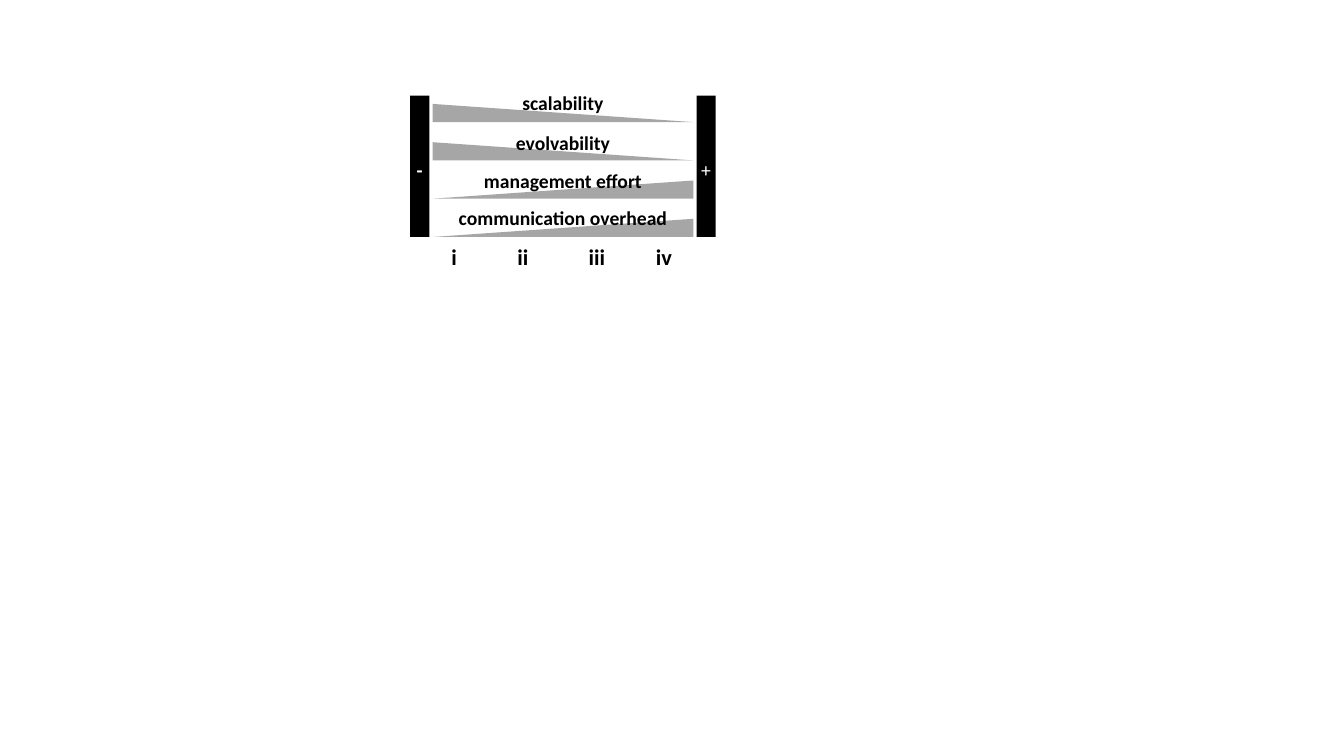
import pptx
import pptx.dml.color
import pptx.enum.shapes
import pptx.enum.text
import pptx.oxml
import pptx.oxml.ns
import pptx.util

Pt = pptx.util.Pt
SHAPES = pptx.enum.shapes.MSO_SHAPE
ALIGN = pptx.enum.text.PP_ALIGN

WEDGE_LEFT, WEDGE_WIDTH, WEDGE_HEIGHT = 309, 186.2, 13
FIRST_WEDGE_TOP, WEDGE_PITCH = 74.2, 27.36
BAR_TOP, BAR_WIDTH, BAR_HEIGHT = 68.4, 13.7, 100.8

# Criterion, top of its label, whether the wedge rises to the right
CRITERIA = [
    ("scalability", 61.4, False),
    ("evolvability", 90, False),
    ("management effort", 117.3, True),
    ("communication overhead", 143.5, True),
]
# Sign, left of its bar, bold
SIGNS = [("+", 497.5, False), ("-", 293, True)]
STAGES = ["i", "ii", "iii", "iv"]
STAGE_STOPS = [47, 98, 146]


def color(value):
    """Return the colour for a hex string."""
    return pptx.dml.color.RGBColor.from_string(value)


def add_solid(page, kind, left, top, width, height, fill):
    """Add a filled shape without line or shadow."""
    shape = page.shapes.add_shape(kind, Pt(left), Pt(top), Pt(width), Pt(height))
    shape.shadow.inherit = False
    shape.fill.solid()
    shape.fill.fore_color.rgb = color(fill)
    shape.line.fill.background()
    return shape


def add_wedge(page, top, rising):
    """Add a grey wedge, mirrored when it rises to the right."""
    wedge = add_solid(page, SHAPES.RIGHT_TRIANGLE, WEDGE_LEFT, top,
                      WEDGE_WIDTH, WEDGE_HEIGHT, "A6A6A6")
    if rising:
        wedge._element.spPr.get_or_add_xfrm().set("flipH", "1")


def add_label(page, text, left, top, width, height, size=14, fill="000000",
              bold=True, align=ALIGN.CENTER, wrap=True):
    """Add a one-line text box and return its paragraph."""
    box = page.shapes.add_textbox(Pt(left), Pt(top), Pt(width), Pt(height))
    box.text_frame.word_wrap = wrap
    box.text_frame.text = text
    para = box.text_frame.paragraphs[0]
    para.alignment = align
    for span in para.runs:
        span.font.name = "Calibri"
        span.font.size = Pt(size)
        span.font.bold = bold
        span.font.color.rgb = color(fill)
    return para


def set_tab_stops(para, stops):
    """Give a paragraph left tab stops, in points."""
    properties = para._p.get_or_add_pPr()
    tab_list = pptx.oxml.parse_xml(
        "<a:tabLst %s/>" % pptx.oxml.ns.nsdecls("a"))
    for stop in stops:
        tab = tab_list.makeelement(pptx.oxml.ns.qn("a:tab"),
                                   {"pos": str(Pt(stop)), "algn": "l"})
        tab_list.append(tab)
    properties.append(tab_list)


def main():
    """Build the slide and save it."""
    deck = pptx.Presentation()
    deck.slide_width, deck.slide_height = Pt(960), Pt(540)
    page = deck.slides.add_slide(deck.slide_layouts[6])

    for row, (name, label_top, rising) in enumerate(CRITERIA):
        add_wedge(page, FIRST_WEDGE_TOP + row * WEDGE_PITCH, rising)
        add_label(page, name, WEDGE_LEFT, label_top, WEDGE_WIDTH, 24.2)

    stages = add_label(page, "\t".join(STAGES), 315.4, 170, 178, 26.6,
                       size=16, align=ALIGN.LEFT)
    set_tab_stops(stages, STAGE_STOPS)

    for sign, left, bold in SIGNS:
        add_solid(page, SHAPES.RECTANGLE, left, BAR_TOP, BAR_WIDTH,
                  BAR_HEIGHT, "000000")
        add_label(page, sign, left - 4, 109.5, BAR_WIDTH + 8, 24.2,
                  fill="FFFFFF", bold=bold, wrap=False)

    deck.save("out.pptx")


main()
